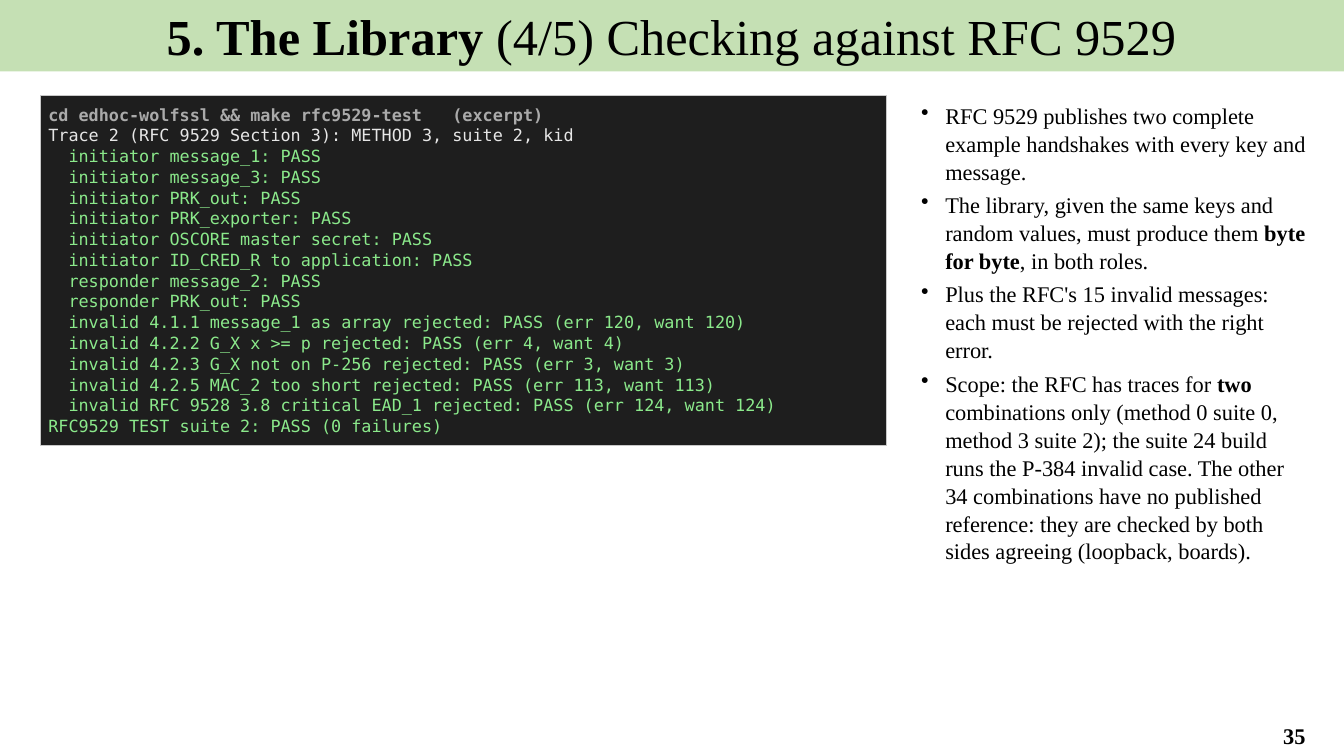
from lxml.etree import SubElement
from pptx import Presentation
from pptx.dml.color import RGBColor
from pptx.enum.shapes import MSO_SHAPE
from pptx.enum.text import MSO_ANCHOR, MSO_AUTO_SIZE, PP_ALIGN
from pptx.oxml.ns import qn
from pptx.util import Pt

SERIF, MONO = "Times New Roman", "DejaVu Sans Mono"


def color(hex_value):
    return RGBColor.from_string(hex_value)


def add_run(paragraph, text, hex_value="000000", **font_format):
    run = paragraph.add_run()
    run.text = text
    run.font.color.rgb = color(hex_value)
    for name, value in font_format.items():
        setattr(run.font, name, value)


prs = Presentation()
prs.slide_width, prs.slide_height = Pt(960), Pt(540)
slide = prs.slides.add_slide(prs.slide_layouts[6])

# Title band and terminal panel
title = slide.shapes.add_shape(MSO_SHAPE.RECTANGLE, Pt(-0.5), Pt(0), Pt(960.5), Pt(51))
terminal = slide.shapes.add_shape(MSO_SHAPE.RECTANGLE, Pt(28.8), Pt(68.4), Pt(604.8), Pt(249.6))
for panel, fill in ((title, "C5E0B4"), (terminal, "1E1E1E")):
    panel.shadow.inherit = False
    panel.fill.solid()
    panel.fill.fore_color.rgb = color(fill)
    panel.text_frame.vertical_anchor = MSO_ANCHOR.TOP

title.line.fill.background()
title.text_frame.word_wrap = True
title.text_frame.auto_size = MSO_AUTO_SIZE.SHAPE_TO_FIT_TEXT
heading = title.text_frame.paragraphs[0]
heading.alignment = PP_ALIGN.CENTER
add_run(heading, "5. The Library ", name=SERIF, size=Pt(36), bold=True)
add_run(heading, "(4/5) Checking against RFC 9529", name=SERIF, size=Pt(36), bold=False)

# Test output
terminal.line.color.rgb = color("C8C8C8")
terminal.line.width = Pt(0.75)
output = terminal.text_frame
output.word_wrap = False
for side in ("left", "top", "right", "bottom"):
    setattr(output, f"margin_{side}", Pt(5.76))

COMMAND, PLAIN, PASSED = "AAAAAA", "E6E6E6", "8BE98B"
output_lines = [
    ("cd edhoc-wolfssl && make rfc9529-test   (excerpt)", COMMAND),
    ("Trace 2 (RFC 9529 Section 3): METHOD 3, suite 2, kid", PLAIN),
    ("  initiator message_1: PASS", PASSED),
    ("  initiator message_3: PASS", PASSED),
    ("  initiator PRK_out: PASS", PASSED),
    ("  initiator PRK_exporter: PASS", PASSED),
    ("  initiator OSCORE master secret: PASS", PASSED),
    ("  initiator ID_CRED_R to application: PASS", PASSED),
    ("  responder message_2: PASS", PASSED),
    ("  responder PRK_out: PASS", PASSED),
    ("  invalid 4.1.1 message_1 as array rejected: PASS (err 120, want 120)", PASSED),
    ("  invalid 4.2.2 G_X x >= p rejected: PASS (err 4, want 4)", PASSED),
    ("  invalid 4.2.3 G_X not on P-256 rejected: PASS (err 3, want 3)", PASSED),
    ("  invalid 4.2.5 MAC_2 too short rejected: PASS (err 113, want 113)", PASSED),
    ("  invalid RFC 9528 3.8 critical EAD_1 rejected: PASS (err 124, want 124)", PASSED),
    ("RFC9529 TEST suite 2: PASS (0 failures)", PASSED),
]
for index, (text, shade) in enumerate(output_lines):
    line = output.add_paragraph() if index else output.paragraphs[0]
    line.alignment = PP_ALIGN.LEFT
    line.line_spacing = 1.03
    add_run(line, text, shade, name=MONO, size=Pt(12), bold=shade == COMMAND)

# Explanation: every second piece of a point is bold
points = [
    ["RFC 9529 publishes two complete example handshakes with every key and message."],
    ["The library, given the same keys and random values, must produce them ",
     "byte for byte", ", in both roles."],
    ["Plus the RFC's 15 invalid messages: each must be rejected with the right error."],
    ["Scope: the RFC has traces for ", "two",
     " combinations only (method 0 suite 0, method 3 suite 2); the suite 24 build runs "
     "the P-384 invalid case. The other 34 combinations have no published reference: "
     "they are checked by both sides agreeing (loopback, boards)."],
]
explanation = slide.shapes.add_textbox(Pt(648), Pt(68.4), Pt(295.2), Pt(432)).text_frame
explanation.word_wrap = True
explanation.auto_size = MSO_AUTO_SIZE.SHAPE_TO_FIT_TEXT
for index, pieces in enumerate(points):
    point = explanation.add_paragraph() if index else explanation.paragraphs[0]
    point.line_spacing = 1.04
    point.space_after = Pt(4)
    properties = point._p.get_or_add_pPr()
    properties.set("marL", str(Pt(20.16)))
    properties.set("indent", str(Pt(-17.28)))
    SubElement(properties, qn("a:buChar"), char="•")
    for position, piece in enumerate(pieces):
        add_run(point, piece, name=SERIF, size=Pt(16), bold=position % 2 == 1)

# Page number
page = slide.shapes.add_textbox(Pt(889.2), Pt(511.2), Pt(70.6), Pt(28)).text_frame
page.word_wrap = True
page.vertical_anchor = MSO_ANCHOR.MIDDLE
page.paragraphs[0].alignment = PP_ALIGN.CENTER
add_run(page.paragraphs[0], "35", name=SERIF, size=Pt(16), bold=True)

prs.save("out.pptx")
